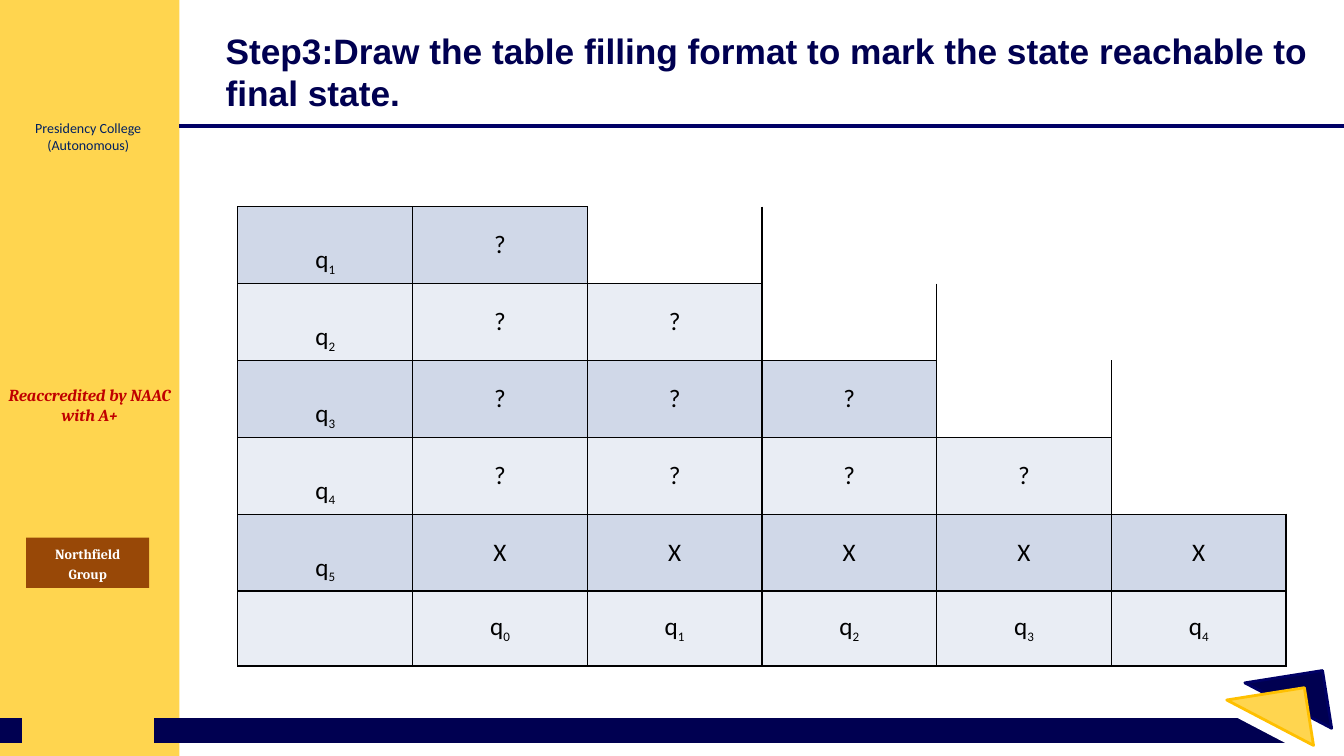
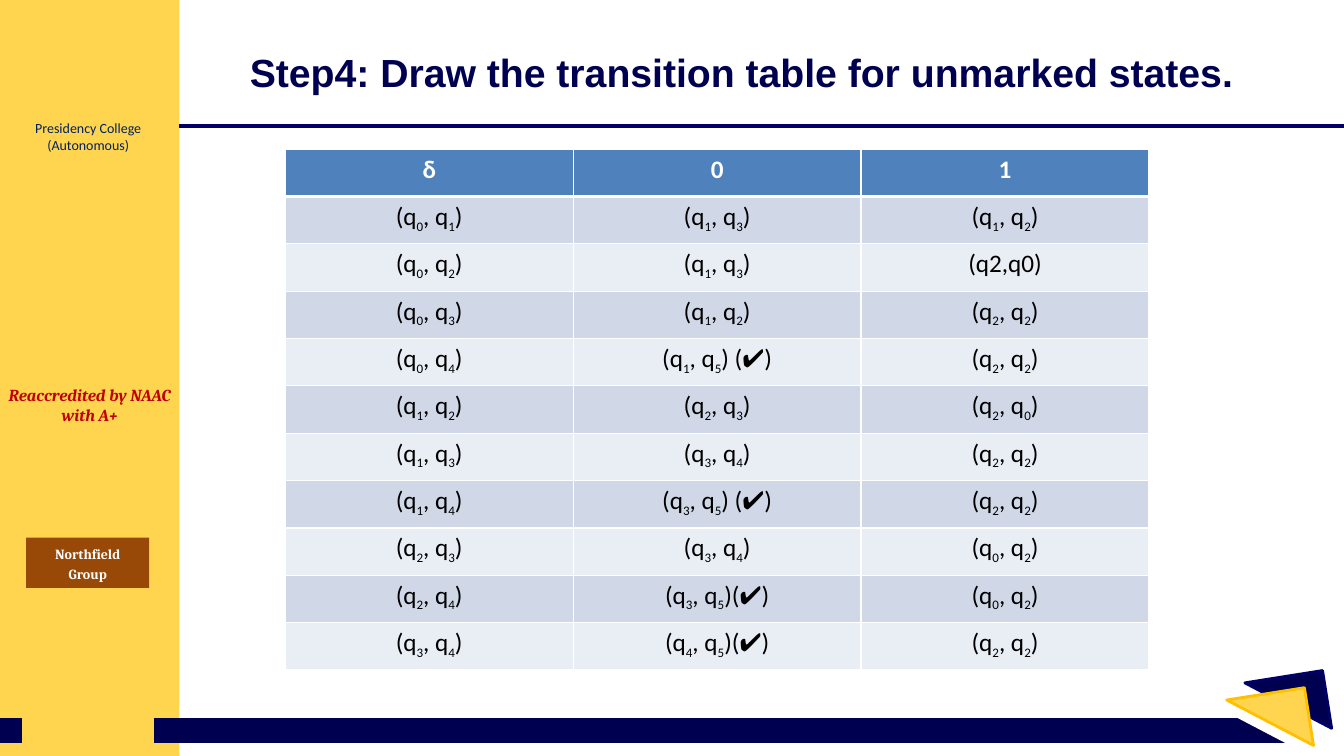
from lxml import etree
from pptx import Presentation
from pptx.dml.color import RGBColor
from pptx.enum.shapes import MSO_CONNECTOR, MSO_SHAPE as Preset
from pptx.enum.text import MSO_ANCHOR as Anchor, PP_ALIGN as Align
from pptx.oxml.ns import qn
from pptx.util import Inches, Pt

COLUMNS, ROWS = 160, 90
CELL = Inches(7.5) / ROWS

NAVY = RGBColor(0x00, 0x00, 0x51)
RULE_BLUE = RGBColor(0x00, 0x00, 0x66)
YELLOW = RGBColor(0xFF, 0xD5, 0x4F)
GOLD = RGBColor(0xFF, 0xC0, 0x00)
BROWN = RGBColor(0x98, 0x48, 0x07)
RED = RGBColor(0xC0, 0x00, 0x00)
INK_BLUE = RGBColor(0x00, 0x20, 0x60)
HEADER_BLUE = RGBColor(0x4F, 0x81, 0xBD)
BAND_DARK = RGBColor(0xD0, 0xD8, 0xE8)
BAND_LIGHT = RGBColor(0xE9, 0xED, 0xF4)
WHITE = RGBColor(0xFF, 0xFF, 0xFF)
BLACK = RGBColor(0x00, 0x00, 0x00)

TITLE = {"name": "Arial", "size": Pt(28), "bold": True, "color": NAVY}
TAGLINE = {"name": "Cambria", "size": Pt(12), "bold": True, "italic": True, "color": RED}
BADGE = {"name": "Cambria", "size": Pt(10), "bold": True, "color": WHITE}
COLLEGE = {"name": "Calibri", "size": Pt(10), "color": INK_BLUE}
BODY = {"name": "Calibri", "size": Pt(18), "color": BLACK}
HEADER = BODY | {"bold": True, "color": WHITE}
SUBSCRIPT_SIZE = Pt(16)

SIDEBAR_WIDTH = 21.36
TITLE_RIGHT = 157.32
FOOTER_ROW = 87
NO_STYLE_TABLE = "{2D5ABB26-0587-4C30-8999-92F81FD0307C}"


def grid(cells):
    return round(cells * CELL)


def format_font(font, style):
    for attribute, value in style.items():
        if attribute == "color":
            font.color.rgb = value
        else:
            setattr(font, attribute, value)


def write_paragraph(paragraph, text, style, align, spacing=None):
    """Write text in which an underscore lowers the character after it."""
    paragraph.alignment = align
    paragraph.line_spacing = spacing

    def add_run(words, lowered=False):
        if words:
            run = paragraph.add_run()
            run.text = words
            format_font(run.font, style)
            if lowered:
                run.font.size = SUBSCRIPT_SIZE
                run._r.get_or_add_rPr().set("baseline", "-25000")

    plain, *marked = text.split("_")
    add_run(plain)
    for part in marked:
        add_run(part[0], lowered=True)
        add_run(part[1:])


def set_border(cell, sides, color, widths):
    """Draw the given sides (L, R, T, B); must precede the cell's fill."""
    properties = cell._tc.get_or_add_tcPr()
    for side in sides:
        line = etree.SubElement(properties, qn(f"a:ln{side}"), w=str(Pt(widths.get(side, 1))))
        fill = etree.SubElement(line, qn("a:solidFill"))
        etree.SubElement(fill, qn("a:srgbClr"), val=str(color))


class Deck:
    def __init__(self):
        self.presentation = Presentation()
        self.presentation.slide_width = grid(COLUMNS)
        self.presentation.slide_height = grid(ROWS)
        self.slide = None

    def start_slide(self, title, left, size):
        self.slide = self.presentation.slides.add_slide(self.presentation.slide_layouts[6])
        self.frame()
        self.text((left, 3, TITLE_RIGHT - left, 11), [title], TITLE | {"size": size},
                  Align.LEFT, Anchor.MIDDLE)

    def frame(self):
        """Sidebar, rules and corner triangles found on every slide."""
        self.shape((0, 0, SIDEBAR_WIDTH, ROWS), YELLOW)
        self.line(18.36, 154.68, FOOTER_ROW, NAVY, 18)
        for left, top, fill, outline in [
            (147.12, 82.32, WHITE, WHITE),
            (149.88, 79.32, NAVY, RULE_BLUE),
            (147.72, 81.36, YELLOW, GOLD),
        ]:
            self.corner_triangle(left, top, fill, outline)
        self.text((0, 45.24, SIDEBAR_WIDTH, 6), ["Reaccredited by NAAC with A+"], TAGLINE,
                  side_inset=0)
        badge = self.shape((3.12, 64, 14.64, 6), BROWN)
        self.fill_text(badge, ["Northfield", "Group"], BADGE, spacing=1.15)
        self.line(0, 2.64, FOOTER_ROW, NAVY, 18)
        college = self.shape((0, 13.2, 21, 6), YELLOW, YELLOW)
        self.fill_text(college, ["Presidency College", "(Autonomous)"], COLLEGE)
        self.line(SIDEBAR_WIDTH, COLUMNS, 15, RULE_BLUE, 2.25)

    def shape(self, box, fill, outline=None, preset=Preset.RECTANGLE):
        shape = self.slide.shapes.add_shape(preset, *map(grid, box))
        shape.shadow.inherit = False
        shape.fill.solid()
        shape.fill.fore_color.rgb = fill
        if outline is None:
            shape.line.fill.background()
        else:
            shape.line.color.rgb = outline
            shape.line.width = Pt(2)
        return shape

    def corner_triangle(self, left, top, fill, outline):
        triangle = self.shape((left, top, 6.96, 9.36), fill, outline, Preset.ISOSCELES_TRIANGLE)
        triangle.adjustments[0] = 0
        triangle.rotation = 261
        triangle.element.spPr.xfrm.set("flipH", "1")

    def line(self, start, end, row, color, width):
        line = self.slide.shapes.add_connector(
            MSO_CONNECTOR.STRAIGHT, grid(start), grid(row), grid(end), grid(row))
        line.line.color.rgb = color
        line.line.width = Pt(width)
        etree.SubElement(line.element.spPr, qn("a:effectLst"))

    def text(self, box, paragraphs, style, align=Align.CENTER, anchor=Anchor.TOP,
             side_inset=1.2):
        holder = self.slide.shapes.add_textbox(*map(grid, box))
        self.fill_text(holder, paragraphs, style, align, anchor)
        holder.text_frame.margin_left = holder.text_frame.margin_right = grid(side_inset)

    def fill_text(self, holder, paragraphs, style, align=Align.CENTER,
                  anchor=Anchor.MIDDLE, spacing=None):
        frame = holder.text_frame
        frame.word_wrap = True
        frame.vertical_anchor = anchor
        for index, words in enumerate(paragraphs):
            paragraph = frame.add_paragraph() if index else frame.paragraphs[0]
            write_paragraph(paragraph, words, style, align, spacing)

    def table(self, left, top, width, row_height, row_count, column_count):
        frame = self.slide.shapes.add_table(
            row_count, column_count, grid(left), grid(top),
            grid(width), grid(row_height * row_count))
        frame.element.xpath(".//a:tableStyleId")[0].text = NO_STYLE_TABLE
        return frame.table

    def cell(self, cell, words, fill, border, style=BODY, anchor=Anchor.TOP,
             spacing=None, border_widths=None):
        set_border(cell, "LRTB", border, border_widths or {})
        cell.fill.solid()
        cell.fill.fore_color.rgb = fill
        cell.vertical_anchor = anchor
        write_paragraph(cell.text_frame.paragraphs[0], words, style, Align.CENTER, spacing)

    def staircase_table(self, rows):
        """Rows grow to the right; places past a row's end stay open."""
        size = len(rows)
        table = self.table(28.32, 24.6, 124.8, 8.94, size, size)
        for r, row in enumerate(rows):
            for c, words in enumerate(row):
                row_label = c == 0 and r < size - 1
                self.cell(table.cell(r, c), words, (BAND_DARK, BAND_LIGHT)[r % 2], BLACK,
                          anchor=Anchor.TOP if row_label else Anchor.MIDDLE,
                          spacing=2.0 if row_label else None)
            if len(row) < size:
                set_border(table.cell(r, len(row)), "LB", BLACK, {})

    def transition_table(self, header, rows):
        table = self.table(33.96, 17.76, 102.84, 5.64, len(rows) + 1, len(header))
        for c, words in enumerate(header):
            self.cell(table.cell(0, c), words, HEADER_BLUE, WHITE, HEADER,
                      border_widths={"B": 3})
        for r, row in enumerate(rows):
            for c, words in enumerate(row):
                self.cell(table.cell(r + 1, c), words, (BAND_DARK, BAND_LIGHT)[r % 2], WHITE,
                          border_widths={} if r else {"T": 3})


def main():
    deck = Deck()

    deck.start_slide(
        "Step3:Draw the table filling format to mark the state reachable to final state.",
        25.68, Pt(25.2))
    states = range(1, 6)
    marks = [[f"q_{n}"] + ["X" if n == 5 else "?"] * n for n in states]
    deck.staircase_table(marks + [[""] + [f"q_{n - 1}" for n in states]])

    deck.start_slide("Step4: Draw the transition table for unmarked states.", 28.56, Pt(28))
    deck.transition_table(["δ", "0", "1"], [
        ["(q_0, q_1)", "(q_1, q_3)", "(q_1, q_2)"],
        ["(q_0, q_2)", "(q_1, q_3)", "(q2,q0)"],
        ["(q_0, q_3)", "(q_1, q_2)", "(q_2, q_2)"],
        ["(q_0, q_4)", "(q_1, q_5) (✔)", "(q_2, q_2)"],
        ["(q_1, q_2)", "(q_2, q_3)", "(q_2, q_0)"],
        ["(q_1, q_3)", "(q_3, q_4)", "(q_2, q_2)"],
        ["(q_1, q_4)", "(q_3, q_5) (✔)", "(q_2, q_2)"],
        ["(q_2, q_3)", "(q_3, q_4)", "(q_0, q_2)"],
        ["(q_2, q_4)", "(q_3, q_5)(✔)", "(q_0, q_2)"],
        ["(q_3, q_4)", "(q_4, q_5)(✔)", "(q_2, q_2)"],
    ])

    deck.presentation.save("out.pptx")


if __name__ == "__main__":
    main()
